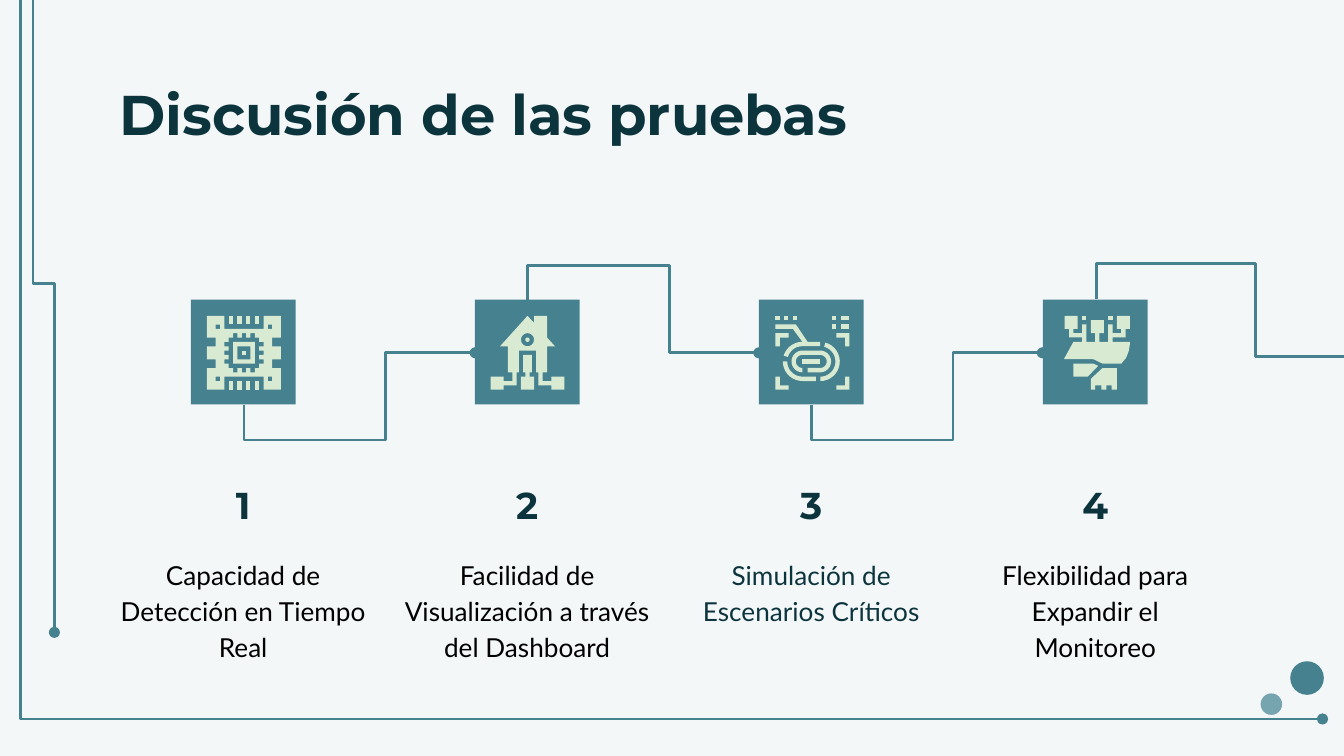
"""Build the slide on the discussion of the tests."""
from math import cos, radians, sin

from lxml.etree import SubElement
from pptx import Presentation
from pptx.dml.color import RGBColor
from pptx.enum.shapes import MSO_CONNECTOR, MSO_SHAPE
from pptx.enum.text import MSO_ANCHOR, PP_ALIGN
from pptx.oxml.ns import qn
from pptx.util import Inches, Pt

COLORS = {"bg": "F3F7F8", "teal": "45818E", "light": "76A5AF",
          "icon": "D9EAD3", "dark": "0C343D", "black": "000000"}
RGB = {name: RGBColor.from_string(value) for name, value in COLORS.items()}
UNIT = 0.55 / 17


def box(x, y, w=1, h=1):
    return [(x, y), (x + w, y), (x + w, y + h), (x, y + h)]


def arc(cx, cy, radius, start, end):
    steps = max(6, abs(end - start) // 10)
    angles = [radians(start + (end - start) * i / steps) for i in range(steps + 1)]
    return [(cx + radius * cos(a), cy + radius * sin(a)) for a in angles]


prs = Presentation()
prs.slide_width, prs.slide_height = Inches(10), Inches(5.625)
s = prs.slides.add_slide(prs.slide_layouts[6])
s.background.fill.solid()
s.background.fill.fore_color.rgb = RGB["bg"]

presets = [(MSO_SHAPE.OVAL, 9.38, 5.16, 0.16, "light"),
           (MSO_SHAPE.OVAL, 9.6, 4.92, 0.25, "teal")]
presets += [(MSO_SHAPE.RECTANGLE, 1.42 + 6.34 / 3 * i, 2.23, 0.78, "teal")
            for i in range(4)]
for kind, x, y, size, color in presets:
    sp = s.shapes.add_shape(kind, Inches(x), Inches(y), Inches(size), Inches(size))
    sp.shadow.inherit = False
    sp.fill.solid()
    sp.fill.fore_color.rgb = RGB[color]
    sp.line.fill.background()

heading = {"name": "Montserrat", "bold": True}
body = {"name": "Lato", "size": Pt(14)}
texts = [(0.79, 0.49, 8.43, 0.63, "Discusión de las pruebas", MSO_ANCHOR.TOP,
          PP_ALIGN.LEFT, 1, "dark", heading | {"size": Pt(30)})]
steps = [("Capacidad de Detección en Tiempo Real", "black"),
         ("Facilidad de Visualización a través del Dashboard", "black"),
         ("Simulación de Escenarios Críticos", "dark"),
         ("Flexibilidad para Expandir el Monitoreo", "black")]
for i, (text, color) in enumerate(steps):
    x = 0.78 + 6.34 / 3 * i
    texts.append((x, 3.52, 2.06, 0.5, str(i + 1), MSO_ANCHOR.BOTTOM,
                  PP_ALIGN.CENTER, 1.15, "dark", heading | {"size": Pt(20)}))
    texts.append((x, 4.03, 2.06, 0.63, text, MSO_ANCHOR.TOP,
                  PP_ALIGN.CENTER, 1.15, color, body))
for x, y, w, h, text, anchor, align, spacing, color, font in texts:
    tf = s.shapes.add_textbox(Inches(x), Inches(y), Inches(w), Inches(h)).text_frame
    frame = {"word_wrap": True, "vertical_anchor": anchor}
    frame |= {f"margin_{side}": Inches(0.1) for side in ("left", "right", "top", "bottom")}
    for key, value in frame.items():
        setattr(tf, key, value)
    p = tf.paragraphs[0]
    p.alignment, p.line_spacing = align, spacing
    r = p.add_run()
    r.text = text
    for key, value in font.items():
        setattr(r.font, key, value)
    r.font.color.rgb = RGB[color]

pins = [(6, 5), (6, 4), (7, 4), (7, 5), (8, 5), (8, 4), (9, 4), (9, 5),
        (10, 5), (10, 4), (11, 4), (11, 5), (12, 5)]
socket = []
for turn in range(4):
    socket += pins
    pins = [(17 - y, x) for x, y in pins]
board = [(0, 0), (4, 0), (4, 3), (13, 3), (13, 0), (17, 0), (17, 5), (15, 5),
         (15, 7), (17, 7), (17, 10), (15, 10), (15, 12), (17, 12), (17, 17),
         (13, 17), (13, 14), (4, 14), (4, 17), (0, 17), (0, 12), (2, 12),
         (2, 10), (0, 10), (0, 7), (2, 7), (2, 5), (0, 5)]
chip = [[board, socket] + [box(x, y) for x in (2, 14) for y in (2, 14)],
        [box(6, 6, 5, 5), box(7, 7, 3, 3)], [box(8, 8)]]
chip += [[box(x, y, 1, 2)] for x in (5, 7, 9, 11) for y in (0, 15)]

walls = [(8.5, 0), (2.2, 7), (4, 7), (4, 13), (5, 13), (5, 15), (3, 15), (3, 14),
         (0, 14), (0, 17), (3, 17), (3, 16), (6, 16), (6, 13), (6.5, 13), (6.5, 8),
         (10.5, 8), (10.5, 13), (11, 13), (11, 16), (14, 16), (14, 17), (17, 17),
         (17, 14), (14, 14), (14, 15), (12, 15), (12, 13), (13, 13), (13, 7),
         (14.8, 7), (13, 5), (13, 0), (10, 0), (10, 1.6)]
door = [(7.5, 9), (7.5, 13), (8, 13), (8, 14), (7, 14), (7, 17), (10, 17),
        (10, 14), (9, 14), (9, 13), (9.5, 13), (9.5, 9)]
house = [[walls, arc(8.5, 5.5, 1.5, 0, 360)], [door], [arc(8.5, 5.5, 0.5, 0, 360)]]

corners = [[(14, 4), (14, 5), (16, 5), (16, 7), (17, 7), (17, 4)],
           [(16, 14), (16, 16), (14, 16), (14, 17), (17, 17), (17, 14)]]
corners += [[(17 - x, y) for x, y in corner] for corner in corners]
wire = ([(0, 2), (0, 3), (4, 3), (6.2, 6)] + arc(6.2, 10.5, 4.5, 270, 197)
        + arc(6.2, 10.5, 3.5, 197, 270) + [(10.3, 7), (10.3, 6), (7.4, 6), (4.7, 2)])
right_loop = arc(10.3, 10.5, 3.5, 285, 450) + arc(10.3, 10.5, 4.5, 450, 285)
left_loop = (arc(6.2, 10.5, 4.5, 180, 90) + [(9.3, 15), (9.3, 14)]
             + arc(6.2, 10.5, 3.5, 90, 180))
inner_loop = (arc(6.2, 10.5, 2.5, 270, 90) + arc(6.2, 10.5, 1.5, 90, 270)
              + arc(10.3, 10.5, 1.5, 270, 450) + [(7.4, 12), (7.4, 13)]
              + arc(10.3, 10.5, 2.5, 450, 270))
pixels = [box(x, y) for x, y in [(0, 0), (2, 0), (4, 0), (13, 0), (13, 2)]]
pixels += [box(15, y, 2, 1) for y in (0, 2)]
track = [[outline] for outline in corners + pixels
         + [wire, right_loop, left_loop, inner_loop, box(6.2, 10, 4, 1)]]

palm = [(13, 0), (13, 3), (14, 3), (14, 4), (12, 4), (12, 2), (11, 2), (11, 6),
        (9, 6), (9, 4), (10, 4), (10, 1), (7, 1), (7, 4), (8, 4), (8, 6), (6, 6),
        (6, 2), (5, 2), (5, 4), (3, 4), (3, 3), (4, 3), (4, 0), (1, 0), (1, 3),
        (2, 3), (2, 5), (5, 5), (5, 6), (3, 6), (0.8, 10), (7.6, 10), (9.7, 11),
        (14, 11), (15.1, 9.7), (15.7, 8.2), (16, 6.5), (16, 6), (12, 6), (12, 5),
        (15, 5), (15, 3), (16, 3), (16, 0)]
fingers = [(9.7, 12), (7, 14.5), (7, 17), (8, 17), (8, 16), (9.4, 16), (9.4, 17),
           (10.6, 17), (10.6, 16), (11.8, 16), (11.8, 17), (13, 17), (13, 12)]
thumb = [(3, 11), (3, 14), (6.3, 14), (8.7, 11.5), (7.6, 11)]
hand = [[outline] for outline in (palm, fingers, thumb, box(5, 0), box(11, 0))]

for left, icon in [(1.54, chip), (3.65, house), (5.77, track), (7.89, hand)]:
    for outlines in icon:
        builder = None
        for outline in outlines:
            points = [(Inches(left + x * UNIT), Inches(2.35 + y * UNIT))
                      for x, y in outline]
            if builder is None:
                builder = s.shapes.build_freeform(*points[0], scale=1.0)
            else:
                builder.move_to(*points[0])
            builder.add_line_segments(points[1:], close=True)
        sp = builder.convert_to_shape()
        sp.shadow.inherit = False
        sp.fill.solid()
        sp.fill.fore_color.rgb = RGB["icon"]
        sp.line.fill.background()

links = [(0.15, -0.65, 9.69, 6, 0, False, "bentConnector3", [0]),
         (-2.27, 2.03, 5.19, 0.16, 270, True, "bentConnector3", [50000]),
         (2.48, 1.96, 0.39, 1.72, 270, False, "bentConnector4", [-66500, 61400]),
         (4.59, 1.57, 0.39, 1.72, 270, True, "bentConnector4", [-66500, 61400]),
         (6.7, 1.96, 0.39, 1.72, 270, False, "bentConnector4", [-66500, 61400]),
         (8.93, 1.45, 0.43, 1.98, 270, True, "bentConnector4", [-61000, 59900])]
for x, y, w, h, angle, flip, preset, adjusts in links:
    sp = s.shapes.add_connector(MSO_CONNECTOR.ELBOW, Inches(x), Inches(y),
                                Inches(x + w), Inches(y + h))
    sp.line.color.rgb, sp.line.width = RGB["teal"], Pt(1.5)
    props = sp._element.spPr
    xfrm = props.find(qn("a:xfrm"))
    xfrm.set("rot", str(angle * 60000))
    xfrm.set("flipH", str(int(flip)))
    geom = props.find(qn("a:prstGeom"))
    geom.set("prst", preset)
    guides = geom.find(qn("a:avLst"))
    for i, value in enumerate(adjusts, 1):
        SubElement(guides, qn("a:gd"), name=f"adj{i}", fmla=f"val {value}")
    SubElement(props.find(qn("a:ln")), qn("a:tailEnd"), type="oval")
    SubElement(props, qn("a:effectLst"))

prs.save("out.pptx")
